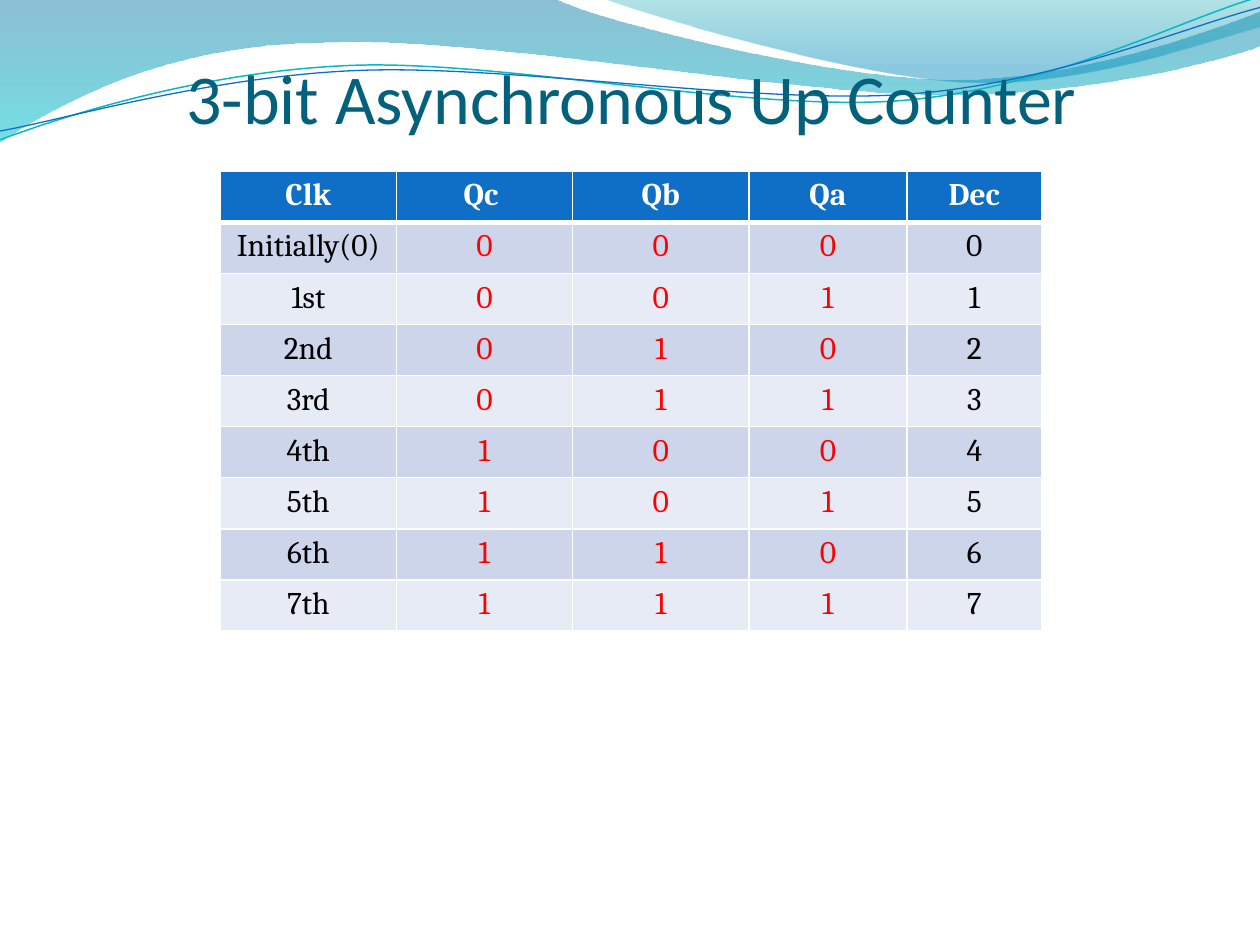
from math import cos, radians, sin

from lxml.etree import SubElement
from pptx import Presentation
from pptx.dml.color import RGBColor
from pptx.enum.text import MSO_ANCHOR, PP_ALIGN
from pptx.oxml.ns import qn
from pptx.util import Cm, Pt

COLORS = {
    "title": "04617B", "header": "0F6FC6", "odd_row": "CCD5EA", "even_row": "E7EBF5",
    "white": "FFFFFF", "black": "000000", "bit": "FF0000",
    "wave_top": "0074A1", "wave_bottom": "00C6CF",
    "crest_top": "00A1A9", "crest_bottom": "008BBF",
    "teal_line": "0AB8BF", "blue_line": "0F6FC6",
}
INCH = Cm(2.54)
LINE_TILT = -2.7

# Outlines in inches: one point is a straight segment, three points are a Bézier curve.
WAVE = [[(0, -0.01)], [(4.4, -0.01)],
        [(4.76, 0.17), (6.64, 0.63), (7.58, 0.63)],
        [(8.53, 0.63), (9.58, 0.26), (10, 0.09)], [(10.01, 0.36)],
        [(9.83, 0.44), (8.7, 0.76), (7.46, 0.75)],
        [(6.22, 0.75), (3.82, 0.28), (2.57, 0.34)],
        [(1.29, 0.35), (0.46, 0.83), (-0.01, 1.13)]]
CREST = [[(4.79, -0.01)], [(5.09, 0.11), (6.82, 0.62), (7.69, 0.65)],
         [(8.56, 0.69), (9.61, 0.32), (10, 0.21)], [(10, 0)]]
TEAL_LINE = [[(0, 1.11)], [(0.48, 0.93), (1.58, 0.57), (2.77, 0.52)],
             [(3.95, 0.47), (5.93, 0.89), (7.13, 0.8)],
             [(8.33, 0.71), (9.38, 0.15), (9.98, -0.02)]]
BLUE_LINE = [[(0, 1.04)], [(0.47, 0.96), (1.64, 0.61), (2.83, 0.56)],
             [(4.03, 0.51), (5.97, 0.83), (7.17, 0.75)],
             [(8.36, 0.67), (9.41, 0.21), (10, 0.06)]]

HEADINGS = ["Clk", "Qc ", "Qb", "Qa", "Dec"]
CLOCKS = ["Initially(0)", "1st", "2nd", "3rd", "4th", "5th", "6th", "7th"]
COLUMN_WIDTHS = [3.55, 3.55, 3.56, 3.18, 2.72]
ROW_HEIGHT = 1.03


def rgb(name):
    return RGBColor.from_string(COLORS[name])


def turn(outline, degrees, center):
    cx, cy = center
    c, s = cos(radians(degrees)), sin(radians(degrees))
    return [[(cx + (x - cx) * c - (y - cy) * s, cy + (x - cx) * s + (y - cy) * c)
             for x, y in segment] for segment in outline]


def add_outline(slide, outline, closed):
    """Build a freeform through the segment ends, then bend its curved segments."""
    start, *ends = [(x * INCH, y * INCH) for x, y in (part[-1] for part in outline)]
    builder = slide.shapes.build_freeform(*start)
    builder.add_line_segments(ends, close=closed)
    shape = builder.convert_to_shape()
    shape.shadow.inherit = False
    straight_lines = list(shape._element.iter(qn("a:lnTo")))
    for line, segment in zip(straight_lines, outline[1:]):
        if len(segment) == 3:
            line.clear()
            curve = SubElement(line.getparent(), qn("a:cubicBezTo"))
            line.getparent().replace(line, curve)
            for x, y in segment:
                SubElement(curve, qn("a:pt"), x=str(round(x * INCH) - shape.left),
                           y=str(round(y * INCH) - shape.top))
    return shape


def add_wave(slide, outline, stops):
    """Add a filled wave; stops are (position %, colour, opacity %), top to bottom."""
    wave = add_outline(slide, outline, True)
    wave.line.fill.background()
    wave.fill.gradient()
    gradient = wave.fill._xPr.find(qn("a:gradFill"))
    for child in list(gradient):
        gradient.remove(child)
    stop_list = SubElement(gradient, qn("a:gsLst"))
    for position, color, opacity in stops:
        stop = SubElement(stop_list, qn("a:gs"), pos=str(position * 1000))
        fill = SubElement(stop, qn("a:srgbClr"), val=COLORS[color])
        SubElement(fill, qn("a:alpha"), val=str(opacity * 1000))
    SubElement(gradient, qn("a:lin"), ang="5400000", scaled="0")


def add_wave_line(slide, outline, center, color, width):
    """Add an open curve as a level shape that is tilted about its centre."""
    curve = add_outline(slide, turn(outline, -LINE_TILT, center), False)
    curve.rotation = LINE_TILT
    curve.fill.background()
    curve.line.color.rgb = rgb(color)
    curve.line.width = Pt(width)


def style_text(paragraph, font_name, size, color, bold=False):
    paragraph.alignment = PP_ALIGN.CENTER
    for run in paragraph.runs:
        run.font.name = font_name
        run.font.size = Pt(size)
        run.font.bold = bold
        run.font.color.rgb = rgb(color)


def set_borders(cell, bottom_width):
    properties = cell._tc.get_or_add_tcPr()
    widths = {"a:lnL": 1, "a:lnR": 1, "a:lnT": 1, "a:lnB": bottom_width}
    for index, (side, width) in enumerate(widths.items()):
        border = SubElement(properties, qn(side), w=str(Pt(width)))
        fill = SubElement(border, qn("a:solidFill"))
        SubElement(fill, qn("a:srgbClr"), val=COLORS["white"])
        properties.insert(index, border)


def fill_cell(cell, text, fill, color, heading=False):
    cell.text_frame.text = text
    style_text(cell.text_frame.paragraphs[0], "Cambria", 18, color, heading)
    cell.fill.solid()
    cell.fill.fore_color.rgb = rgb(fill)
    set_borders(cell, 3 if heading else 1)


def add_count_table(slide):
    row_count = len(CLOCKS) + 1
    table = slide.shapes.add_table(
        row_count, len(HEADINGS), Cm(4.44), Cm(3.45),
        Cm(sum(COLUMN_WIDTHS)), Cm(ROW_HEIGHT * row_count)).table
    for column, width in zip(table.columns, COLUMN_WIDTHS):
        column.width = Cm(width)
    for row in table.rows:
        row.height = Cm(ROW_HEIGHT)
    for column, heading in enumerate(HEADINGS):
        fill_cell(table.cell(0, column), heading, "header", "white", True)
    for count, clock in enumerate(CLOCKS):
        band = "even_row" if count % 2 else "odd_row"
        for column, text in enumerate([clock, *f"{count:03b}", str(count)]):
            color = "bit" if 1 <= column <= 3 else "black"
            fill_cell(table.cell(count + 1, column), text, band, color)


def add_title(slide, text):
    title = slide.shapes.add_textbox(Cm(1.91), Cm(0), Cm(21.64), Cm(2.8)).text_frame
    title.word_wrap = True
    title.vertical_anchor = MSO_ANCHOR.BOTTOM
    title.margin_left = title.margin_right = title.margin_bottom = Cm(0)
    title.margin_top = Cm(0.13)
    title.text = text
    style_text(title.paragraphs[0], "Calibri", 40, "title")


def main():
    presentation = Presentation()
    presentation.slide_width, presentation.slide_height = Cm(25.4), Cm(19.05)
    slide = presentation.slides.add_slide(presentation.slide_layouts[6])
    add_wave(slide, WAVE, [(0, "wave_top", 45), (100, "wave_bottom", 55)])
    add_wave(slide, CREST, [(0, "crest_top", 30), (80, "crest_bottom", 45),
                            (100, "crest_bottom", 45)])
    add_wave_line(slide, TEAL_LINE, (4.99, 0.58), "teal_line", 0.85)
    add_wave_line(slide, BLUE_LINE, (5, 0.59), "blue_line", 0.75)
    add_count_table(slide)
    add_title(slide, "3-bit Asynchronous Up Counter")
    presentation.save("out.pptx")


if __name__ == "__main__":
    main()
